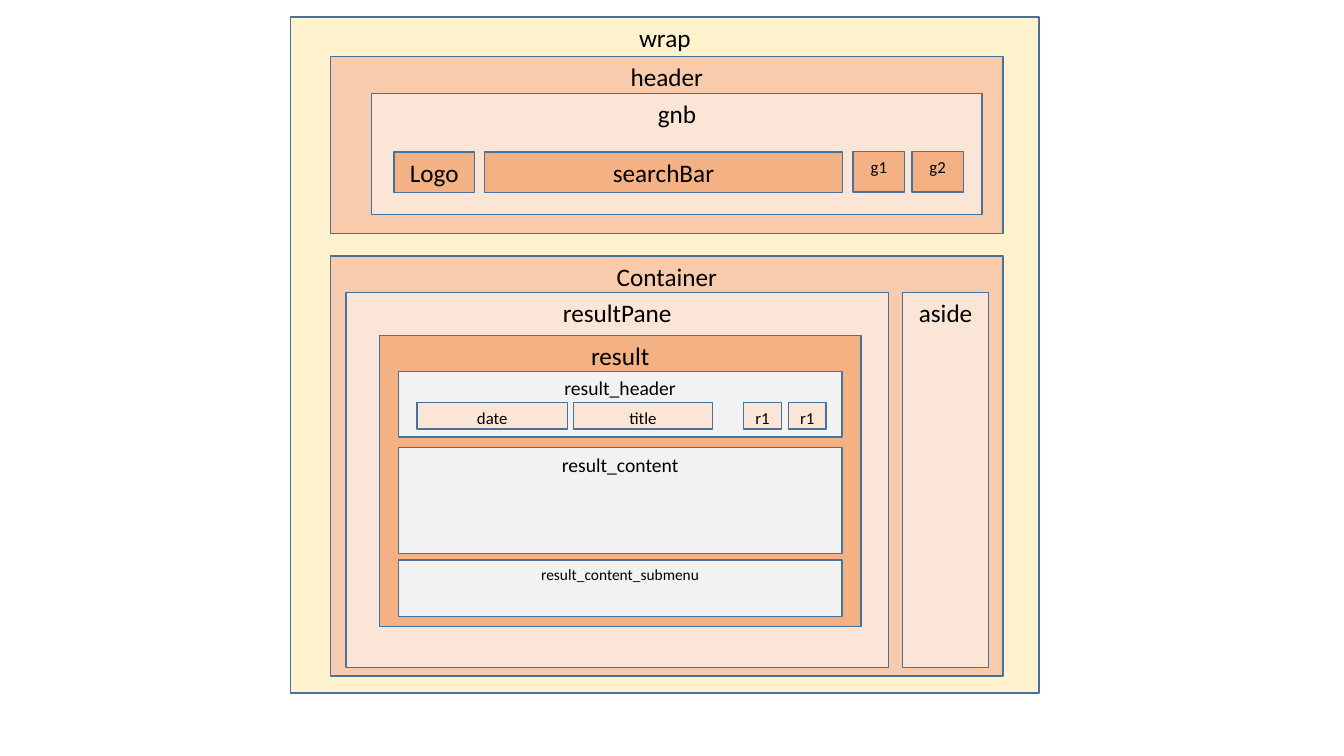
from dataclasses import dataclass

from pptx import Presentation
from pptx.dml.color import RGBColor
from pptx.enum.shapes import MSO_SHAPE as Kind
from pptx.enum.text import MSO_ANCHOR as Anchor, PP_ALIGN as Align
from pptx.shapes.autoshape import Shape
from pptx.shapes.shapetree import SlideShapes as Tree
from pptx.text.text import TextFrame as Frame
from pptx.util import Cm, Pt

CREAM = "FFF2CC"
PEACH = "F8CBAD"
PALE = "FBE5D6"
AMBER = "F4B183"
GREY = "F2F2F2"
EDGE = "43739E"


@dataclass(frozen=True)
class Box:
    text: str
    left: float
    top: float
    width: float
    height: float
    fill: str
    size: int = 18


def row(top: float, height: float, fill: str, size: int,
        *cells: tuple[str, float, float]) -> list[Box]:
    return [Box(text, left, top, width, height, fill, size)
            for text, left, width in cells]


def stack(left: float, width: float, fill: str,
          *cells: tuple[str, float, float, int]) -> list[Box]:
    return [Box(text, left, top, width, height, fill, size)
            for text, top, height, size in cells]


LAYOUT = [
    Box("wrap", 7.32, 0.43, 18.87, 17.03, CREAM),
    *stack(8.33, 16.95, PEACH,
           ("header", 1.42, 4.47, 18), ("Container", 6.45, 10.59, 18)),
    Box("resultPane", 8.72, 7.37, 13.67, 9.45, PALE),
    Box("result", 9.56, 8.46, 12.14, 7.33, AMBER),
    Box("gnb", 9.37, 2.36, 15.38, 3.05, PALE),
    Box("aside", 22.75, 7.37, 2.16, 9.45, PALE),
    *row(3.83, 1.02, AMBER, 18,
         ("searchBar", 12.21, 9.02), ("Logo", 9.93, 2.03)),
    *row(3.82, 1.02, AMBER, 12, ("g1", 21.5, 1.3), ("g2", 22.98, 1.3)),
    *stack(10.04, 11.18, GREY,
           ("result_content", 11.28, 2.67, 14),
           ("result_content_submenu", 14.11, 1.43, 11),
           ("result_header", 9.36, 1.65, 14)),
    *row(10.15, 0.66, PALE, 12,
         ("title", 14.45, 3.51), ("date", 10.51, 3.79),
         ("r1", 18.74, 0.95), ("r1", 19.87, 0.95)),
]


def paint(code: str) -> RGBColor:
    return RGBColor.from_string(code)


def write(frame: Frame, text: str, *, size: int, color: str = "000000",
          font: str = "Calibri", align: Align = Align.CENTER) -> None:
    frame.word_wrap = True
    frame.vertical_anchor = Anchor.TOP
    para = frame.paragraphs[0]
    para.alignment = align
    run = para.add_run()
    run.text = text
    run.font.name = font
    run.font.size = Pt(size)
    run.font.color.rgb = paint(color)


def draw(tree: Tree, box: Box) -> Shape:
    shape = tree.add_shape(Kind.RECTANGLE, Cm(box.left), Cm(box.top),
                           Cm(box.width), Cm(box.height))
    shape.shadow.inherit = False
    shape.fill.solid()
    shape.fill.fore_color.rgb = paint(box.fill)
    shape.line.color.rgb = paint(EDGE)
    shape.line.width = Pt(1)
    write(shape.text_frame, box.text, size=box.size)
    return shape


def main() -> None:
    deck = Presentation()
    deck.slide_width = Cm(33.87)
    deck.slide_height = Cm(19.05)
    slide = deck.slides.add_slide(deck.slide_layouts[6])
    for box in LAYOUT:
        draw(slide.shapes, box)
    deck.save("out.pptx")


if __name__ == "__main__":
    main()
